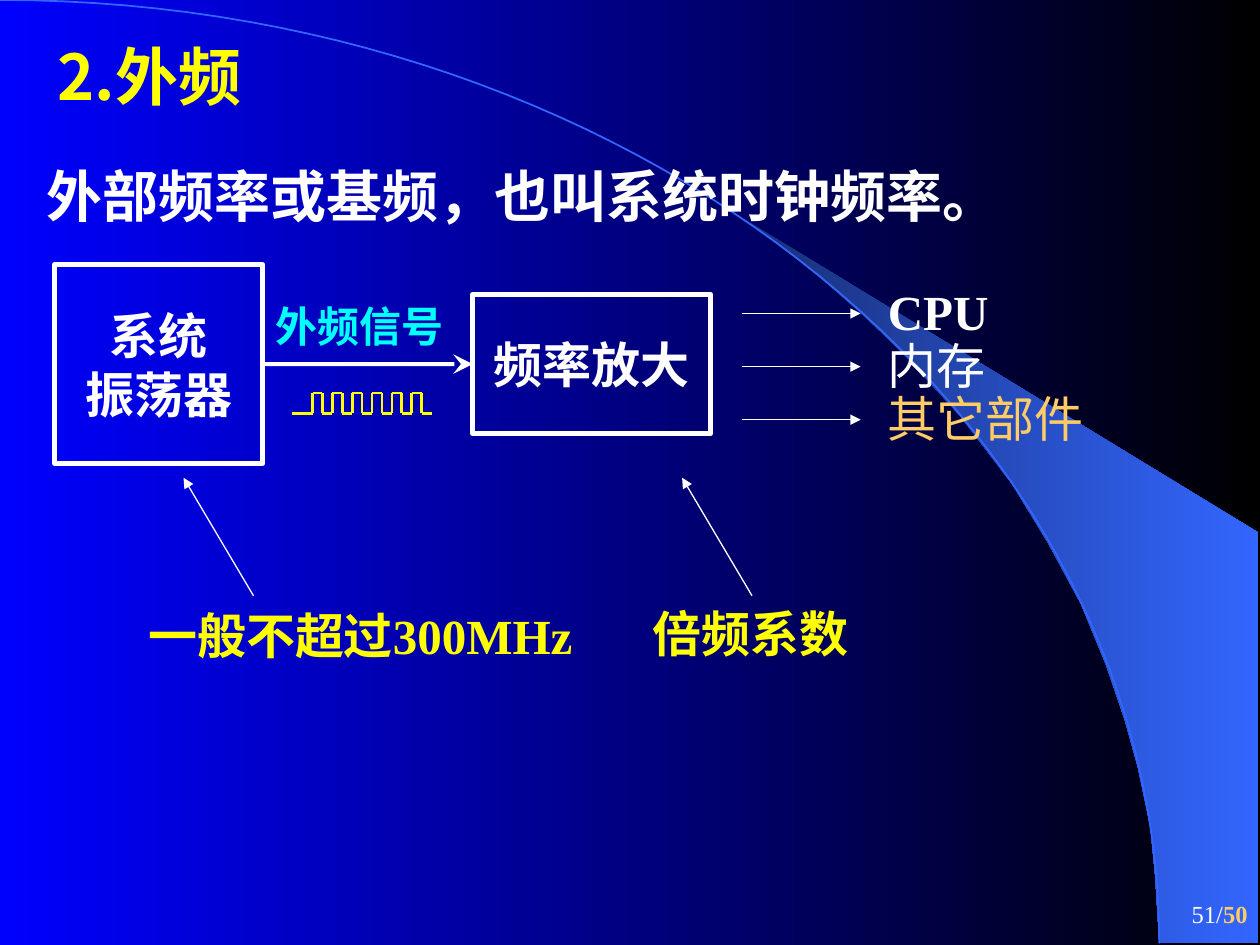
import itertools

import pptx
import pptx.dml.color
import pptx.enum.shapes
import pptx.enum.text
import pptx.oxml
import pptx.oxml.ns
import pptx.util

Cm = pptx.util.Cm
Pt = pptx.util.Pt
ALIGN = pptx.enum.text.PP_ALIGN
ANCHOR = pptx.enum.text.MSO_ANCHOR
AUTO_SIZE = pptx.enum.text.MSO_AUTO_SIZE

COLOURS = {
    "blue": "0000FF",
    "black": "000000",
    "navy": "182F76",
    "azure": "3366FF",
    "white": "FFFFFF",
    "yellow": "FFFF00",
    "cyan": "00FFFF",
    "orange": "FFCC66",
}
SERIF = "Times New Roman"
SANS = "Noto Sans CJK SC"

SWOOSH = [
    (23.37, 19), (25.37, 19.02), (25.37, 10.74), (14.96, 4.39), (15.85, 5.05),
    (16.59, 5.64), (17.4, 6.35), (18.19, 7.11), (19.35, 8.38), (20.4, 9.75),
    (21.13, 10.95), (21.79, 12.17), (22.3, 13.41), (22.68, 14.53),
    (22.94, 15.47), (23.19, 16.66), (23.29, 17.68),
]
ARC = [(0, 0), (12.9, 0), (23.37, 8.51), (23.37, 19.02)]


def rgb(name):
    return pptx.dml.color.RGBColor.from_string(COLOURS[name])


def apply_format(target, values):
    for name, value in values.items():
        setattr(target, name, value)


def fill_gradient(fill, start, end):
    fill.gradient()
    fill.gradient_angle = 0
    for stop, name in zip(fill.gradient_stops, (start, end)):
        stop.color.rgb = rgb(name)


def style_line(line, colour, width):
    line.color.rgb = rgb(colour)
    line.width = Pt(width)


def add_span(para, text, size, colour, bold=True, font=SERIF):
    span = para.add_run()
    span.text = text
    apply_format(span.font, {"name": font, "size": Pt(size), "bold": bold})
    span.font.color.rgb = rgb(colour)


def add_text(slide, place, text, size, colour, bold=True, font=SERIF,
             wrap=False, **para_format):
    box = slide.shapes.add_textbox(*map(Cm, place))
    apply_format(box.text_frame, {
        "word_wrap": wrap, "auto_size": AUTO_SIZE.SHAPE_TO_FIT_TEXT})
    para = box.text_frame.paragraphs[0]
    apply_format(para, para_format)
    add_span(para, text, size, colour, bold, font)


def add_block(slide, place, lines):
    """Add an outlined box with centred lines of text."""
    block = slide.shapes.add_shape(
        pptx.enum.shapes.MSO_SHAPE.RECTANGLE, *map(Cm, place))
    block.shadow.inherit = False
    block.fill.background()
    style_line(block.line, "white", 3)
    frame = block.text_frame
    apply_format(frame, {"word_wrap": False, "vertical_anchor": ANCHOR.MIDDLE})
    for index, text in enumerate(lines):
        para = frame.add_paragraph() if index else frame.paragraphs[0]
        para.alignment = ALIGN.CENTER
        add_span(para, text, 28, "white")
    return block


def add_line(slide, start, end, colour="white", width=0.75, head=None,
             head_size="med"):
    """Add a straight line, with an arrowhead at its end if head is given."""
    line = slide.shapes.add_connector(
        pptx.enum.shapes.MSO_CONNECTOR.STRAIGHT, *map(Cm, (*start, *end)))
    style_line(line.line, colour, width)
    if head:
        tail_end = pptx.oxml.parse_xml(
            f'<a:tailEnd {pptx.oxml.ns.nsdecls("a")} type="{head}" '
            f'w="{head_size}" len="{head_size}"/>')
        line.line._get_or_add_ln().append(tail_end)
    line._element.spPr.append(
        pptx.oxml.parse_xml(f'<a:effectLst {pptx.oxml.ns.nsdecls("a")}/>'))
    return line


def add_outline(slide, points, close):
    start, *others = [(Cm(x), Cm(y)) for x, y in points]
    builder = slide.shapes.build_freeform(*start)
    builder.add_line_segments(others, close=close)
    outline = builder.convert_to_shape()
    outline.shadow.inherit = False
    return outline


def bezier_points(controls, steps=60):
    """Return points along a cubic curve."""
    points = []
    for step in range(steps + 1):
        t = step / steps
        weights = ((1 - t) ** 3, 3 * t * (1 - t) ** 2, 3 * t * t * (1 - t), t ** 3)
        points.append(tuple(
            sum(w * c for w, c in zip(weights, axis)) for axis in zip(*controls)))
    return points


def add_backdrop(slide):
    fill_gradient(slide.background.fill, "blue", "black")
    swoosh = add_outline(slide, SWOOSH, close=True)
    fill_gradient(swoosh.fill, "navy", "azure")
    swoosh.line.fill.background()
    arc = add_outline(slide, bezier_points(ARC), close=False)
    arc.fill.background()
    style_line(arc.line, "azure", 1)


def add_square_wave(slide, left=5.89, rise=6.3, step=0.2, high=7.92, low=8.33):
    points = [(left, low)]
    for index in range(12):
        x = rise + index * step
        levels = (high, low) if index % 2 else (low, high)
        points += [(x, y) for y in levels]
    points.append((rise + 12 * step, low))
    for start, end in itertools.pairwise(points):
        add_line(slide, start, end, "yellow", 1.5)


def add_page_number(slide):
    box = slide.shapes.add_textbox(Cm(20.12), Cm(17.78), Cm(5.28), Cm(1.27))
    apply_format(box.text_frame, {
        "word_wrap": True, "vertical_anchor": ANCHOR.MIDDLE})
    para = box.text_frame.paragraphs[0]
    para.alignment = ALIGN.RIGHT
    add_span(para, "51/", 14, "white", bold=False)
    add_span(para, "50", 14, "orange")


def main():
    deck = pptx.Presentation()
    apply_format(deck, {"slide_width": Cm(25.4), "slide_height": Cm(19.05)})
    slide = deck.slides.add_slide(deck.slide_layouts[6])
    add_backdrop(slide)

    add_text(slide, (0.91, 0.93, 9.32, 1.47), "2.外频", 36, "yellow", font=SANS,
             wrap=True, line_spacing=0.8, space_before=Pt(22.5))
    add_text(slide, (0.69, 3.14, 20.8, 1.63), "外部频率或基频，也叫系统时钟频率。",
             32, "white", wrap=True, space_before=Pt(20))

    oscillator = add_block(slide, (1.1, 5.34, 4.2, 4), ["系统", "振荡器"])
    amplifier = add_block(slide, (9.53, 5.94, 4.8, 2.8), ["频率放大"])
    signal = add_line(slide, (5.3, 7.34), (9.53, 7.34), width=2.25,
                      head="stealth", head_size="lg")
    signal.begin_connect(oscillator, 3)
    signal.end_connect(amplifier, 1)
    add_text(slide, (5.31, 5.94, 3.95, 1.27), "外频信号", 24, "cyan")
    add_square_wave(slide)

    targets = [("CPU", 2.6, "white", True), ("内存", 2.6, "white", False),
               ("其它部件", 4.5, "orange", False)]
    for row, (text, width, colour, bold) in enumerate(targets):
        drop = 1.07 * row
        add_line(slide, (14.96, 6.32 + drop), (17.35, 6.32 + drop), head="triangle")
        add_text(slide, (17.65, 5.56 + drop, width, 1.45), text, 28, colour, bold)

    notes = [("一般不超过300MHz", (2.74, 12.09, 9.4, 1.45), 5.11),
             ("倍频系数", (12.9, 12.04, 4.5, 1.45), 15.16)]
    for text, place, x in notes:
        add_line(slide, (x, 12.01), (x - 1.41, 9.63), head="triangle")
        add_text(slide, place, text, 28, "yellow")

    add_page_number(slide)
    deck.save("out.pptx")


if __name__ == "__main__":
    main()
